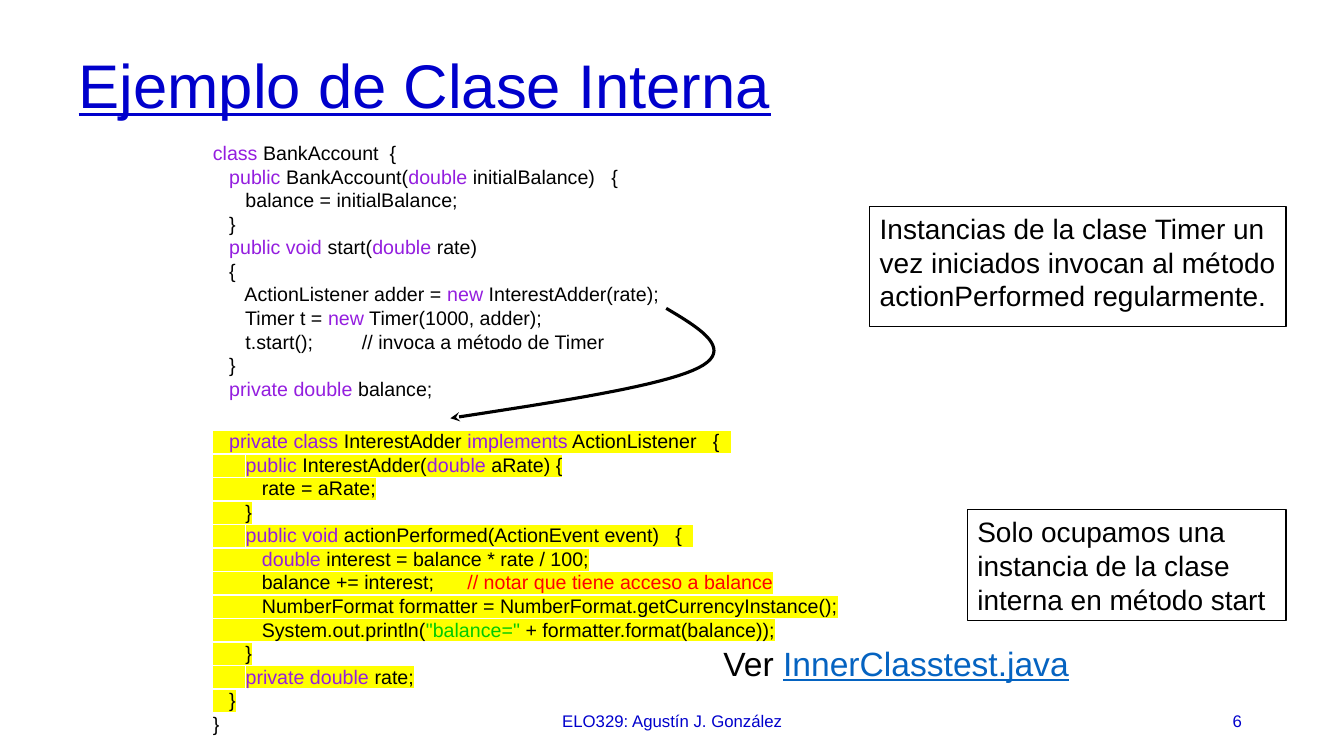
from dataclasses import dataclass

from lxml import etree
from pptx import Presentation
from pptx.dml.color import RGBColor
from pptx.enum.shapes import MSO_SHAPE
from pptx.enum.text import MSO_ANCHOR, MSO_AUTO_SIZE, PP_ALIGN
from pptx.oxml.ns import qn
from pptx.util import Cm, Pt

RECT = MSO_SHAPE.RECTANGLE
TOP, MIDDLE = MSO_ANCHOR.TOP, MSO_ANCHOR.MIDDLE
LEFT, CENTER, RIGHT = PP_ALIGN.LEFT, PP_ALIGN.CENTER, PP_ALIGN.RIGHT
NO_FIT, GROW = MSO_AUTO_SIZE.NONE, MSO_AUTO_SIZE.SHAPE_TO_FIT_TEXT


@dataclass(frozen=True)
class Theme:
    font: str = "Arial"
    ink: str = "000000"
    blue: str = "0000CC"
    keyword: str = "941EDF"
    comment: str = "FF0000"
    string: str = "00CB00"
    link: str = "0563C1"
    marker: str = "FFFF00"
    title: int = 44
    file: int = 24
    note: int = 20
    code: int = 14
    footer: int = 12


@dataclass(frozen=True)
class Box:
    left: float
    top: float
    width: float
    height: float

    def place(self) -> tuple:
        return Cm(self.left), Cm(self.top), Cm(self.width), Cm(self.height)


@dataclass(frozen=True)
class Label:
    text: str
    box: Box
    size: int
    color: str
    align: PP_ALIGN = LEFT
    anchor: MSO_ANCHOR = TOP
    framed: bool = False


THEME = Theme()

# Code listing: text between bars is coloured
OUTER = """class BankAccount  {
   |public| BankAccount(|double| initialBalance)   {
      balance = initialBalance;
   }
   |public void| start(|double| rate)
   {
      ActionListener adder = |new| InterestAdder(rate);
      Timer t = |new| Timer(1000, adder);
      t.start();         // invoca a método de Timer
   }
   |private double| balance;""".replace("class", "|class|", 1)

INNER = """   |private class| InterestAdder |implements| ActionListener   {  
      |public| InterestAdder(|double| aRate) {
         rate = aRate;
      }
      |public void| actionPerformed(ActionEvent event)   {  
         |double| interest = balance * rate / 100;
         balance += interest;      |// notar que tiene acceso a balance|
         NumberFormat formatter = NumberFormat.getCurrencyInstance();
         System.out.println(|"balance="| + formatter.format(balance));
      }
      |private double| rate;
   }"""

LABELS = [
    Label("ELO329: Agustín J. González", Box(11.23, 17.65, 11.43, 1.02),
          THEME.footer, THEME.blue, CENTER, MIDDLE),
    Label("6", Box(23.93, 17.65, 7.62, 1.02), THEME.footer, THEME.blue, RIGHT, MIDDLE),
    Label("Instancias de la clase Timer un vez iniciados invocan al método "
          "actionPerformed regularmente.", Box(21.92, 5.21, 10.49, 3.02),
          THEME.note, THEME.ink, framed=True),
    Label("Solo ocupamos una instancia de la clase interna en método start",
          Box(24.38, 12.85, 8.03, 2.79), THEME.note, THEME.ink, framed=True),
]

# Bezier pieces of the arrow, in cm
ARROW = [
    ((16.79, 7.77), (17.65, 8.28), (18.52, 8.81), (17.6, 9.27)),
    ((17.6, 9.27), (16.69, 9.73), (14.02, 10.13), (11.35, 10.54)),
]
STEPS = 20


def style(r, size: int, color: str, underline: bool = False) -> None:
    r.font.name = THEME.font
    r.font.size = Pt(size)
    r.font.color.rgb = RGBColor.from_string(color)
    if underline:
        r.font.underline = True


def highlight(r) -> None:
    mark = etree.Element(qn("a:highlight"))
    etree.SubElement(mark, qn("a:srgbClr")).set("val", THEME.marker)
    r.font._element.find(qn("a:solidFill")).addnext(mark)


def token_color(token: str) -> str:
    if token.startswith("//"):
        return THEME.comment
    return THEME.string if token.startswith('"') else THEME.keyword


def add_code_line(p, line: str, marked: bool) -> None:
    pPr = p._p.get_or_add_pPr()
    pPr.set("marL", "0")
    pPr.set("indent", "0")
    etree.SubElement(pPr, qn("a:buNone"))
    p.alignment = LEFT
    p.line_spacing = 1.0
    p.space_before = Pt(0)
    for i, token in enumerate(line.split("|")):
        if not token:
            continue
        r = p.add_run()
        r.text = token
        style(r, THEME.code, token_color(token) if i % 2 else THEME.ink)
        if marked:
            highlight(r)


def add_code(sp) -> None:
    tf = sp.text_frame
    tf.auto_size = NO_FIT
    tf.vertical_anchor = TOP
    outer, inner = OUTER.split("\n"), INNER.split("\n")
    first_inner = len(outer)
    last = first_inner + len(inner)
    for i, line in enumerate(outer + inner + ["}"]):
        p = tf.add_paragraph() if i else tf.paragraphs[0]
        add_code_line(p, line, first_inner <= i < last)
        if i == first_inner:
            p.space_before = Pt(20.8)


def add_label(s, label: Label) -> None:
    if label.framed:
        sp = s.shapes.add_shape(RECT, *label.box.place())
        sp.shadow.inherit = False
        sp.fill.background()
        sp.line.color.rgb = RGBColor.from_string(THEME.ink)
        sp.line.width = Pt(0.75)
    else:
        sp = s.shapes.add_textbox(*label.box.place())
    tf = sp.text_frame
    tf.word_wrap = True
    tf.vertical_anchor = label.anchor
    tf.text = label.text
    p = tf.paragraphs[0]
    p.alignment = label.align
    style(p.runs[0], label.size, label.color)


def add_arrow(s) -> None:
    points = []
    for a, b, c, d in ARROW:
        for k in range(1, STEPS + 1):
            t = k / STEPS
            u = 1 - t
            points.append(tuple(
                Cm(u**3 * a[n] + 3 * u * u * t * b[n] + 3 * u * t * t * c[n] + t**3 * d[n])
                for n in (0, 1)))
    x, y = ARROW[0][0]
    fb = s.shapes.build_freeform(Cm(x), Cm(y))
    fb.add_line_segments(points, close=False)
    sp = fb.convert_to_shape()
    sp.shadow.inherit = False
    sp.fill.background()
    sp.line.color.rgb = RGBColor.from_string(THEME.ink)
    sp.line.width = Pt(2.25)
    etree.SubElement(sp.line._get_or_add_ln(), qn("a:tailEnd")).set("type", "stealth")


def main() -> None:
    prs = Presentation()
    prs.slide_width, prs.slide_height = Cm(33.87), Cm(19.05)
    s = prs.slides.add_slide(prs.slide_layouts[1])
    title, body = s.placeholders

    # Title
    title.left, title.top, title.width, title.height = Box(1.73, 1.02, 30.68, 2.41).place()
    tf = title.text_frame
    tf.text = "Ejemplo de Clase Interna"
    tf.auto_size = NO_FIT
    tf.vertical_anchor = MIDDLE
    p = tf.paragraphs[0]
    p.alignment = LEFT
    p.line_spacing = 0.9
    style(p.runs[0], THEME.title, THEME.blue, underline=True)

    # Code, arrow, notes and footer
    body.left, body.top, body.width, body.height = Box(5.11, 3.43, 25.81, 15.24).place()
    add_code(body)
    add_arrow(s)
    for label in LABELS:
        add_label(s, label)

    # Source file name
    tf = s.shapes.add_textbox(*Box(17.98, 16.08, 9.3, 1.27).place()).text_frame
    tf.word_wrap = False
    tf.auto_size = GROW
    for text, color in (("Ver ", THEME.ink), ("InnerClasstest.java", THEME.link)):
        r = tf.paragraphs[0].add_run()
        r.text = text
        style(r, THEME.file, color, underline=color == THEME.link)

    prs.save("out.pptx")


if __name__ == "__main__":
    main()
